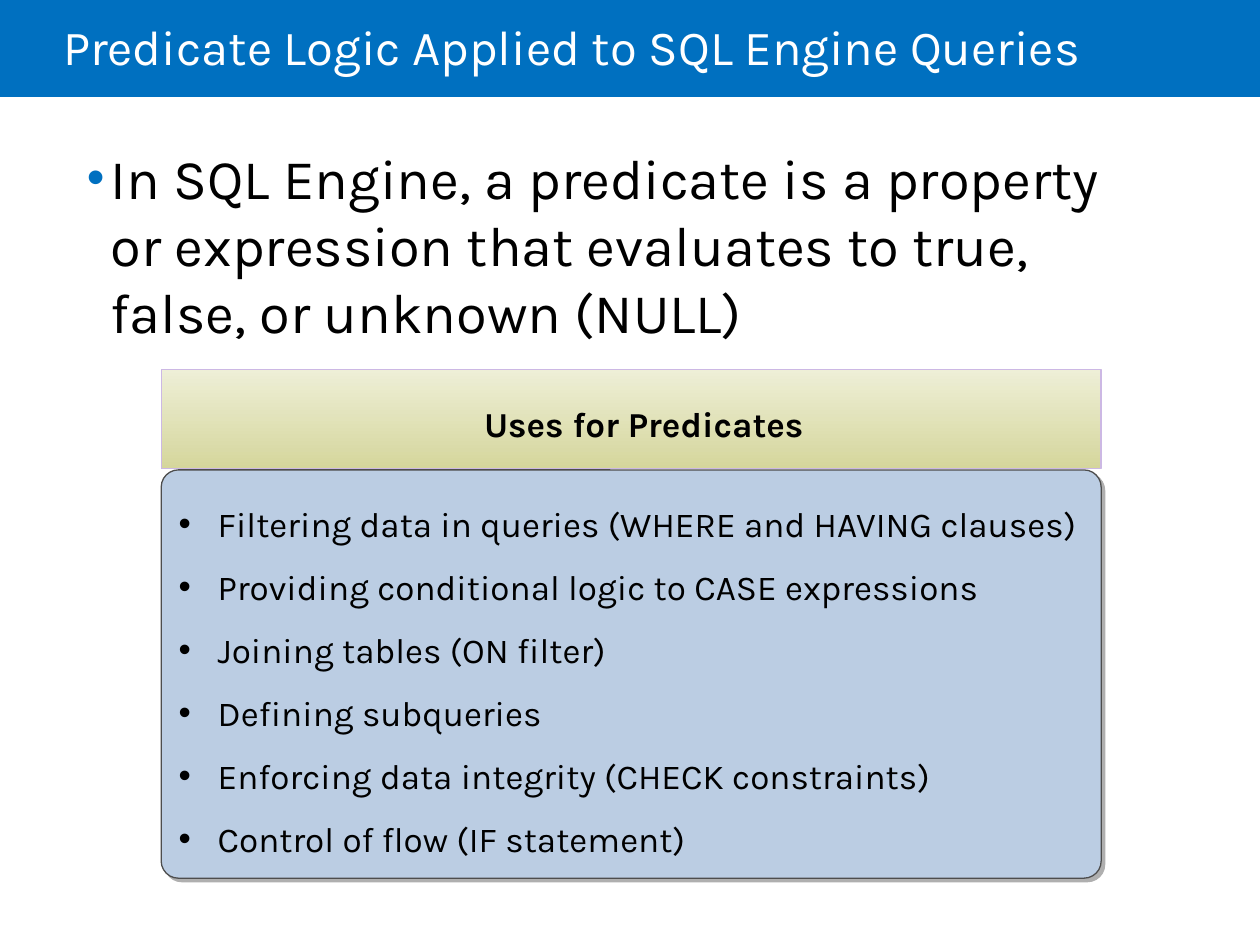
import dataclasses

import lxml.etree
import pptx
import pptx.dml.color
import pptx.enum.shapes
import pptx.enum.text
import pptx.oxml
import pptx.oxml.ns
import pptx.util

Inches = pptx.util.Inches
Pt = pptx.util.Pt
MSO_SHAPE = pptx.enum.shapes.MSO_SHAPE
ANCHOR = pptx.enum.text.MSO_ANCHOR
ALIGN = pptx.enum.text.PP_ALIGN


@dataclasses.dataclass(frozen=True)
class Theme:
    font: str = "Karla"
    title_size: int = 28
    statement_size: int = 32
    panel_size: int = 20
    accent: str = "0070C0"
    title_text: str = "FFFFFF"
    text: str = "000000"
    panel: str = "BBCDE3"
    panel_line: str = "4D4D4D"
    panel_shadow: str = "AFAFAF"
    header_top: str = "EEEFD7"
    header_bottom: str = "D5D69C"
    header_line: str = "CCB8E4"


def rgb(value):
    return pptx.dml.color.RGBColor.from_string(value)


def add_xml(parent, tag, **attributes):
    element = lxml.etree.SubElement(parent, pptx.oxml.ns.qn(tag))
    for name, value in attributes.items():
        element.set(name, str(value))
    return element


class SlideBuilder:
    def __init__(self, slide, theme):
        self.slide = slide
        self.theme = theme

    def style(self, paragraph, size, color=None, bold=False):
        font = paragraph.font
        font.name = self.theme.font
        font.size = Pt(size)
        font.bold = bold
        font.color.rgb = rgb(color or self.theme.text)

    def bullet(self, paragraph, indent, color=None, percent=None):
        """Give the paragraph a hanging bullet."""
        properties = paragraph._p.get_or_add_pPr()
        properties.set("marL", str(Inches(indent)))
        properties.set("indent", str(-Inches(indent)))
        # The schema wants the bullet after spacing and before run defaults.
        run_defaults = properties.find(pptx.oxml.ns.qn("a:defRPr"))
        if color:
            add_xml(add_xml(properties, "a:buClr"), "a:srgbClr", val=color)
        if percent:
            add_xml(properties, "a:buSzPct", val=percent * 1000)
        add_xml(properties, "a:buFont", typeface="Arial")
        add_xml(properties, "a:buChar", char="•")
        if run_defaults is not None:
            properties.append(run_defaults)

    def shape(self, kind, box, line=None):
        shape = self.slide.shapes.add_shape(kind, *map(Inches, box))
        shape.shadow.inherit = False
        if line:
            shape.line.color.rgb = rgb(line)
            shape.line.width = Pt(0.75)
        else:
            shape.line.fill.background()
        return shape

    def title_band(self, box):
        band = self.shape(MSO_SHAPE.RECTANGLE, box)
        band.fill.solid()
        band.fill.fore_color.rgb = rgb(self.theme.accent)
        title = self.slide.shapes.title.element
        title.addprevious(band.element)

    def title(self, text, box):
        title = self.slide.shapes.title
        title.left, title.top, title.width, title.height = map(Inches, box)
        frame = title.text_frame
        frame.text = text
        frame.word_wrap = True
        frame.auto_size = pptx.enum.text.MSO_AUTO_SIZE.NONE
        frame.vertical_anchor = ANCHOR.MIDDLE
        frame.margin_left = 0
        paragraph = frame.paragraphs[0]
        paragraph.alignment = ALIGN.LEFT
        paragraph.line_spacing = 0.85
        self.style(paragraph, self.theme.title_size, self.theme.title_text)

    def statement(self, text, box):
        frame = self.slide.shapes.add_textbox(*map(Inches, box)).text_frame
        frame.word_wrap = True
        frame.text = text
        paragraph = frame.paragraphs[0]
        paragraph.space_before = Pt(6)
        self.style(paragraph, self.theme.statement_size)
        self.bullet(paragraph, 0.19, self.theme.accent, 90)

    def bullet_panel(self, items, box):
        panel = self.shape(MSO_SHAPE.ROUNDED_RECTANGLE, box, self.theme.panel_line)
        panel.adjustments[0] = 0.042
        panel.fill.solid()
        panel.fill.fore_color.rgb = rgb(self.theme.panel)
        effects = panel.element.spPr.find(pptx.oxml.ns.qn("a:effectLst"))
        shadow = add_xml(effects, "a:outerShdw", blurRad=0, dist=Pt(2.8),
                         dir=45 * 60000, algn="ctr", rotWithShape=0)
        add_xml(shadow, "a:srgbClr", val=self.theme.panel_shadow)
        frame = panel.text_frame
        frame.word_wrap = False
        frame.vertical_anchor = ANCHOR.TOP
        frame.text = "\n".join(items)
        for paragraph in frame.paragraphs:
            paragraph.alignment = ALIGN.LEFT
            paragraph.line_spacing = 1.5
            self.style(paragraph, self.theme.panel_size)
            self.bullet(paragraph, 0.31)

    def panel_header(self, text, box):
        header = self.shape(MSO_SHAPE.RECTANGLE, box, self.theme.header_line)
        header.fill.gradient()
        header.fill.gradient_angle = 270
        stops = header.fill.gradient_stops
        for stop, color in zip(stops, (self.theme.header_top, self.theme.header_bottom)):
            stop.color.rgb = rgb(color)
        frame = header.text_frame
        frame.word_wrap = True
        frame.vertical_anchor = ANCHOR.MIDDLE
        frame.margin_left = Inches(0.3)
        frame.margin_top = Inches(0.12)
        frame.text = text
        paragraph = frame.paragraphs[0]
        paragraph.alignment = ALIGN.CENTER
        self.style(paragraph, self.theme.panel_size, bold=True)


def main():
    deck = pptx.Presentation()
    deck.slide_width, deck.slide_height = Inches(10), Inches(7.5)
    title_only = deck.slide_layouts[5]
    builder = SlideBuilder(deck.slides.add_slide(title_only), Theme())

    builder.title_band((0, 0, 10, 0.77))
    builder.title("Predicate Logic Applied to SQL Engine Queries", (0.5, 0, 8.5, 0.81))
    builder.statement(
        "In SQL Engine, a predicate is a property or expression that "
        "evaluates to true, false, or unknown (NULL)",
        (0.59, 1.09, 8.48, 4.8),
    )

    panel_left, panel_width = 1.28, 7.46
    uses = (
        "Filtering data in queries (WHERE and HAVING clauses)",
        "Providing conditional logic to CASE expressions",
        "Joining tables (ON filter)",
        "Defining subqueries",
        "Enforcing data integrity (CHECK constraints)",
        "Control of flow (IF statement)",
    )
    builder.bullet_panel(uses, (panel_left, 3.73, panel_width, 3.24))
    builder.panel_header("Uses for Predicates", (panel_left, 2.93, panel_width, 0.79))
    deck.save("out.pptx")


if __name__ == "__main__":
    main()
